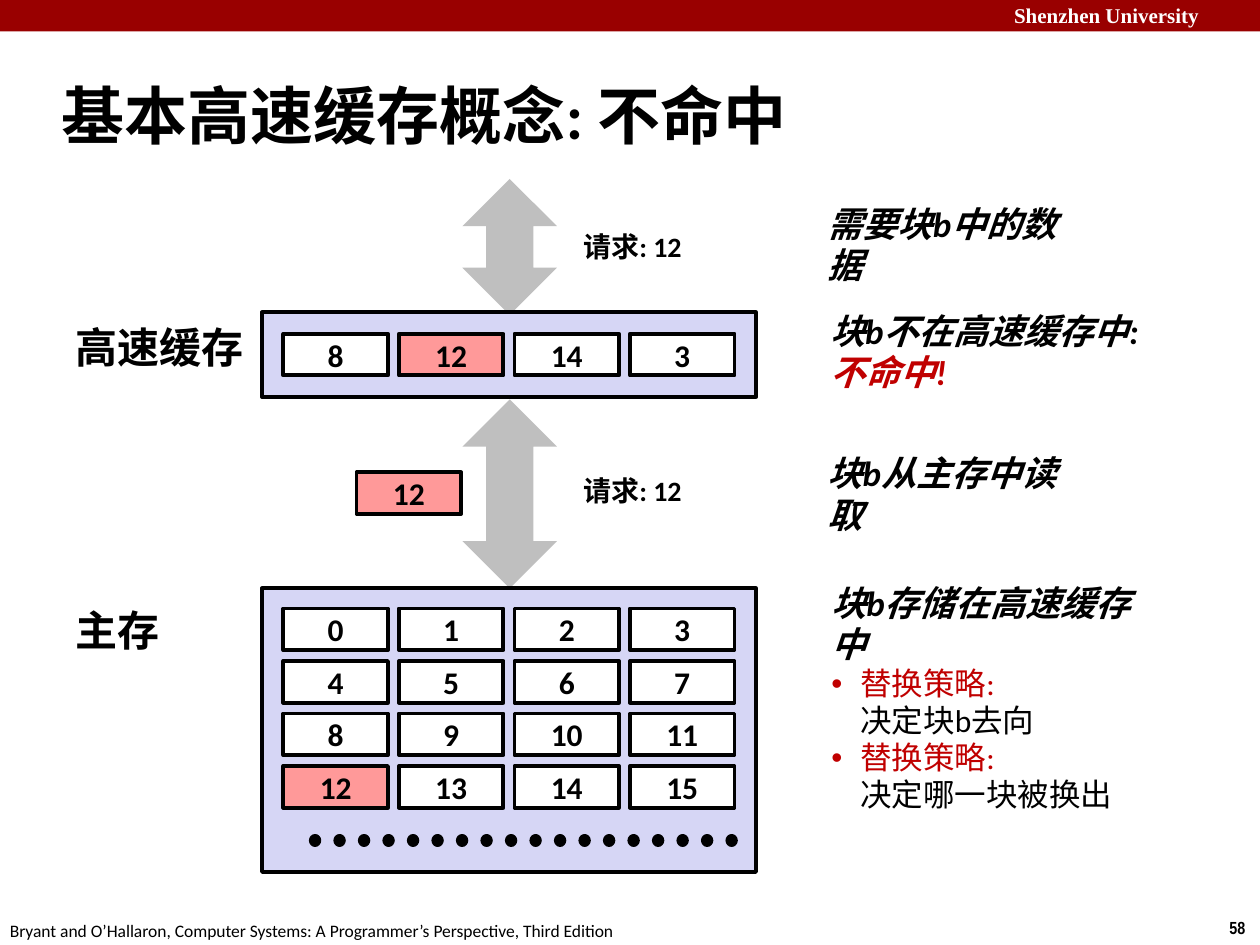
from lxml import etree
from pptx import Presentation
from pptx import util as u
from pptx.dml.color import RGBColor
from pptx.enum import dml, shapes, text
from pptx.oxml.ns import qn


class Theme:
    black, white = "000000", "FFFFFF"
    band, red = "990000", "C00000"
    panel, hot, gray = "D6D6F5", "FF9999", "BFBFBF"
    face, serif, narrow = "Calibri", "Times New Roman", "Arial Narrow"
    title, label, note, cell, ask, head, foot = 36, 24, 20, 18, 16, 12, 10


LEFT, MID = text.PP_ALIGN.LEFT, text.PP_ALIGN.CENTER
TOP, CENTER = text.MSO_ANCHOR.TOP, text.MSO_ANCHOR.MIDDLE
RECT = shapes.MSO_SHAPE.RECTANGLE
ARROW = shapes.MSO_SHAPE.UP_DOWN_ARROW


def write(shape, paras, size, color=Theme.black, name=Theme.face, bold=True,
          italic=False, align=LEFT, anchor=TOP, space=None):
    """Each paragraph is (lines, bulleted); each line is (words, changes)."""
    frame = shape.text_frame
    for key, val in {"word_wrap": True, "vertical_anchor": anchor,
                     "auto_size": text.MSO_AUTO_SIZE.NONE}.items():
        setattr(frame, key, val)
    for i, (lines, dot) in enumerate(paras):
        para = frame.add_paragraph() if i else frame.paragraphs[0]
        para.alignment, para.line_spacing = align, space
        if dot:
            prop = para._p.get_or_add_pPr()
            prop.set("marL", str(u.Inches(0.23)))
            prop.set("indent", str(u.Inches(-0.23)))
            etree.SubElement(prop, qn("a:buFont")).set("typeface", "Arial")
            etree.SubElement(prop, qn("a:buChar")).set("char", "•")
        for j, (words, changes) in enumerate(lines):
            if j:
                para.add_line_break()
            run = para.add_run()
            run.text = words
            form = {"size": size, "name": name, "bold": bold,
                    "italic": italic, "color": color, **changes}
            run.font.color.rgb = RGBColor.from_string(form.pop("color"))
            form["size"] = u.Pt(form["size"])
            for key, val in form.items():
                setattr(run.font, key, val)


def draw(kind, area, fill, line=None, words=""):
    shape = slide.shapes.add_shape(kind, *map(u.Inches, area))
    shape.shadow.inherit = False
    shape.fill.solid()
    shape.fill.fore_color.rgb = RGBColor.from_string(fill)
    if line:
        shape.line.color.rgb = RGBColor.from_string(line)
        shape.line.width = u.Pt(2.25)
    else:
        shape.line.fill.background()
    if words:
        write(shape, [([(words, {})], False)], Theme.cell,
              align=MID, anchor=CENTER)


deck = Presentation()
deck.slide_width, deck.slide_height = u.Inches(10), u.Inches(7.5)
slide = deck.slides.add_slide(deck.slide_layouts[5])

# Title
title = slide.shapes.title
for key, val in {"left": 0.39, "top": 0.49, "width": 8.3, "height": 0.83}.items():
    setattr(title, key, u.Inches(val))
write(title, [([("基本高速缓存概念: 不命中", {})], False)], Theme.title, anchor=CENTER)

# Top band, arrows and panels
draw(RECT, (0, 0, 10, 0.25), Theme.band)
draw(ARROW, (3.67, 1.42, 0.75, 1.08), Theme.gray)
draw(ARROW, (3.67, 3.17, 0.75, 1.5), Theme.gray)
draw(RECT, (2.08, 4.67, 3.92, 2.25), Theme.panel, Theme.black)
draw(RECT, (2.08, 2.48, 3.92, 0.67), Theme.panel, Theme.black)

# Blocks in cache, in memory and on the way
blocks = [(2.25 + col * 11 / 12, 2.65, num)
          for col, num in enumerate([8, 12, 14, 3])]
blocks += [(2.25 + num % 4 * 11 / 12, 4.83 + num // 4 * 5 / 12, num)
           for num in range(16)]
blocks.append((2.83, 3.75, 12))
for left, top, num in blocks:
    fill = Theme.hot if num == 12 else Theme.white
    draw(RECT, (left, top, 0.83, 0.33), fill, Theme.black, str(num))

# Dotted line: memory goes on
dots = slide.shapes.add_connector(
    shapes.MSO_CONNECTOR.STRAIGHT, *map(u.Inches, (2.5, 6.67, 5.83, 6.67)))
dots.line.color.rgb = RGBColor.from_string(Theme.black)
dots.line.width = u.Pt(7)
dots.line.dash_style = dml.MSO_LINE.ROUND_DOT
prop = dots._element.spPr
prop.find(qn("a:ln")).set("cap", "rnd")
etree.SubElement(prop, qn("a:effectLst"))

# Labels, notes and footer
head = {"size": Theme.head, "name": Theme.serif, "color": Theme.white}
label = {"size": Theme.label}
ask = {"size": Theme.ask, "align": MID}
note = {"size": Theme.note, "italic": True, "anchor": CENTER, "space": 0.98}
plain = {"size": Theme.cell, "bold": False, "italic": False}
alert = {"color": Theme.red}


def_rules = [([("替换策略:", {**plain, **alert}), (goal, plain)], True)
             for goal in ("决定块b去向", "决定哪一块被换出")]
texts = [
    ((7.95, -0.03, 2.12, 0.3), "Shenzhen University", head),
    ((9.66, 7.23, 0.34, 0.27), "58", {"size": Theme.foot, "name": Theme.narrow}),
    ((-0.02, 7.25, 5.2, 0.27),
     "Bryant and O’Hallaron, Computer Systems: A Programmer’s Perspective, Third Edition",
     {"size": Theme.foot, "bold": False}),
    ((0.5, 2.5, 1.56, 0.5), "高速缓存", label),
    ((0.5, 4.75, 0.9, 0.5), "主存", label),
    ((4.53, 1.77, 0.98, 0.37), "请求: 12", ask),
    ((4.53, 3.71, 0.98, 0.37), "请求: 12", ask),
    ((6.47, 1.73, 2.29, 0.44), "需要块b中的数据", note),
    ((6.49, 2.42, 2.64, 0.76),
     [([("块b不在高速缓存中:", {})], False), ([("不命中!", alert)], False)], note),
    ((6.47, 3.71, 2.29, 0.44), "块b从主存中读取", note),
    ((6.5, 4.74, 2.84, 1.61),
     [([("块b存储在高速缓存中", {})], False), *def_rules], note),
]
for area, words, form in texts:
    paras = [([(words, {})], False)] if isinstance(words, str) else words
    write(slide.shapes.add_textbox(*map(u.Inches, area)), paras, **form)

deck.save("out.pptx")
